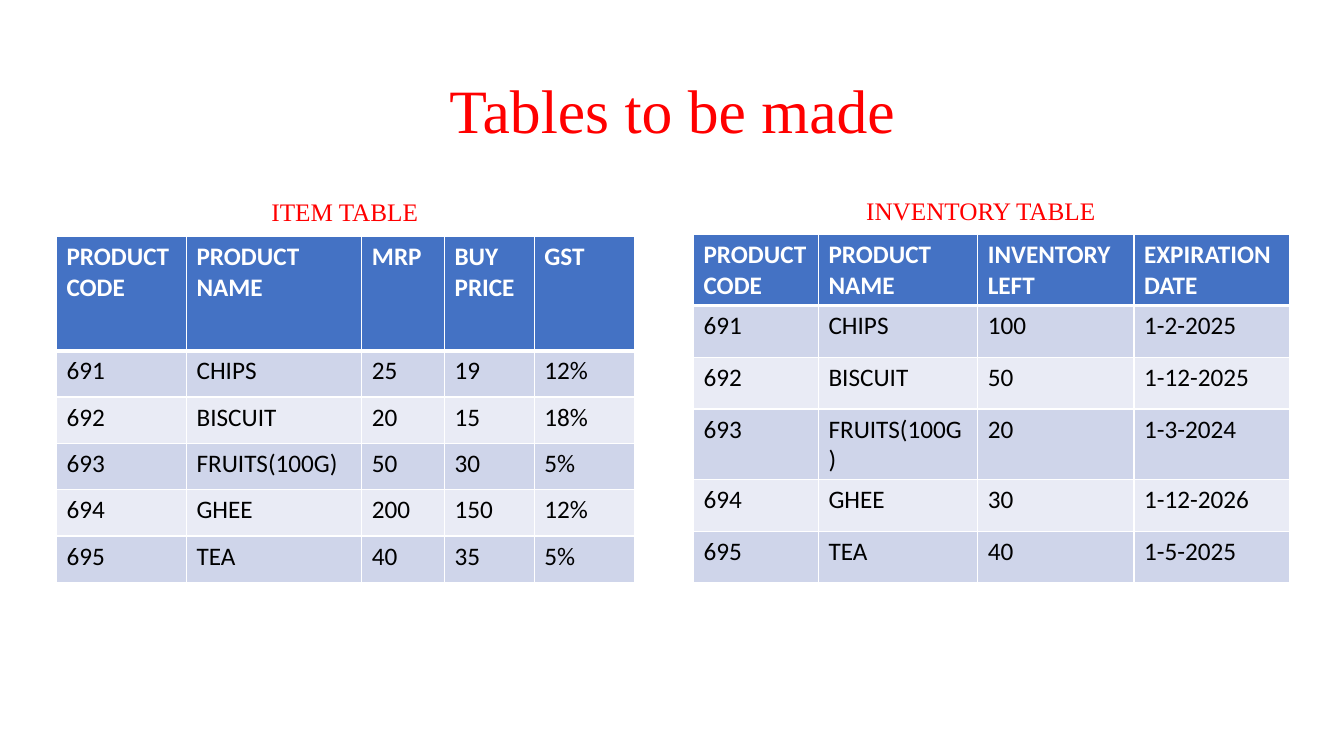
from pptx import Presentation
from pptx.dml.color import RGBColor
from pptx.enum.text import MSO_ANCHOR, PP_ALIGN
from pptx.oxml import parse_xml
from pptx.oxml.ns import nsdecls
from pptx.util import Inches, Pt

ITEMS = [
    ["PRODUCT CODE", "PRODUCT NAME", "MRP", "BUY PRICE", "GST"],
    ["691", "CHIPS", "25", "19", "12%"],
    ["692", "BISCUIT", "20", "15", "18%"],
    ["693", "FRUITS(100G)", "50", "30", "5%"],
    ["694", "GHEE", "200", "150", "12%"],
    ["695", "TEA", "40", "35", "5%"],
]
INVENTORY = [
    ["PRODUCT CODE", "PRODUCT NAME", "INVENTORY LEFT", "EXPIRATION DATE"],
    ["691", "CHIPS", "100", "1-2-2025"],
    ["692", "BISCUIT", "50", "1-12-2025"],
    ["693", "FRUITS(100G)", "20", "1-3-2024"],
    ["694", "GHEE", "30", "1-12-2026"],
    ["695", "TEA", "40", "1-5-2025"],
]


def rgb(value):
    return RGBColor.from_string(value)


class Deck:
    heading_font, body_font = "Times New Roman", "Calibri"
    heading, header_text, body_text = "FF0000", "FFFFFF", "000000"
    header_fill, bands, border = "4472C4", ("CFD5EA", "E9EBF5"), "FFFFFF"
    body_size = 18

    def __init__(self):
        self.prs = Presentation()
        self.prs.slide_width, self.prs.slide_height = Inches(13.33), Inches(7.5)
        self.s = self.prs.slides.add_slide(self.prs.slide_layouts[6])

    def x(self, percent):
        return round(self.prs.slide_width * percent / 100)

    def y(self, percent):
        return round(self.prs.slide_height * percent / 100)

    def style(self, p, name, size, color, bold=False):
        p.font.name, p.font.size, p.font.bold = name, Pt(size), bold
        p.font.color.rgb = rgb(color)

    def text(self, words, left, top, width, height, size=18,
             anchor=MSO_ANCHOR.TOP, spacing=1.0):
        sp = self.s.shapes.add_textbox(self.x(left), self.y(top),
                                       self.x(width), self.y(height))
        tf = sp.text_frame
        tf.word_wrap, tf.vertical_anchor = True, anchor
        p = tf.paragraphs[0]
        p.text, p.alignment, p.line_spacing = words, PP_ALIGN.CENTER, spacing
        self.style(p, self.heading_font, size, self.heading)

    def borders(self, cell, top, bottom):
        for side, points in (("L", 1), ("R", 1), ("T", top), ("B", bottom)):
            cell._tc.get_or_add_tcPr().append(parse_xml(
                f'<a:ln{side} {nsdecls("a")} w="{Pt(points)}"><a:solidFill>'
                f'<a:srgbClr val="{self.border}"/></a:solidFill></a:ln{side}>'))

    def table(self, data, left, top, widths, heights):
        table = self.s.shapes.add_table(
            len(data), len(data[0]), self.x(left), self.y(top),
            self.x(sum(widths)), self.y(sum(heights))).table
        for column, width in zip(table.columns, widths):
            column.width = self.x(width)
        for i, (row, height) in enumerate(zip(data, heights)):
            table.rows[i].height = self.y(height)
            header = i == 0
            fill = self.header_fill if header else self.bands[(i - 1) % 2]
            color = self.header_text if header else self.body_text
            for j, words in enumerate(row):
                cell = table.cell(i, j)
                self.borders(cell, 3 if i == 1 else 1, 3 if header else 1)
                cell.fill.solid()
                cell.fill.fore_color.rgb = rgb(fill)
                p = cell.text_frame.paragraphs[0]
                p.text = words
                self.style(p, self.body_font, self.body_size, color, header)


def main():
    deck = Deck()
    deck.text("Tables to be made", 6.9, 5.33, 86.25, 19.33, size=44,
              anchor=MSO_ANCHOR.MIDDLE, spacing=0.9)
    deck.table(ITEMS, 4.2, 31.33, [9.68, 13.05, 6.15, 6.68, 7.5],
               [15.07] + [6.13] * 5)
    deck.table(INVENTORY, 51.6, 31.07, [9.3, 11.85, 11.63, 11.55],
               [9.33, 6.85, 6.85, 9.33, 6.85, 6.85])
    deck.text("ITEM TABLE", 4.95, 25.33, 41.4, 5.33)
    deck.text("INVENTORY TABLE", 52.6, 25.2, 40.75, 5.47)
    deck.prs.save("out.pptx")


if __name__ == "__main__":
    main()
